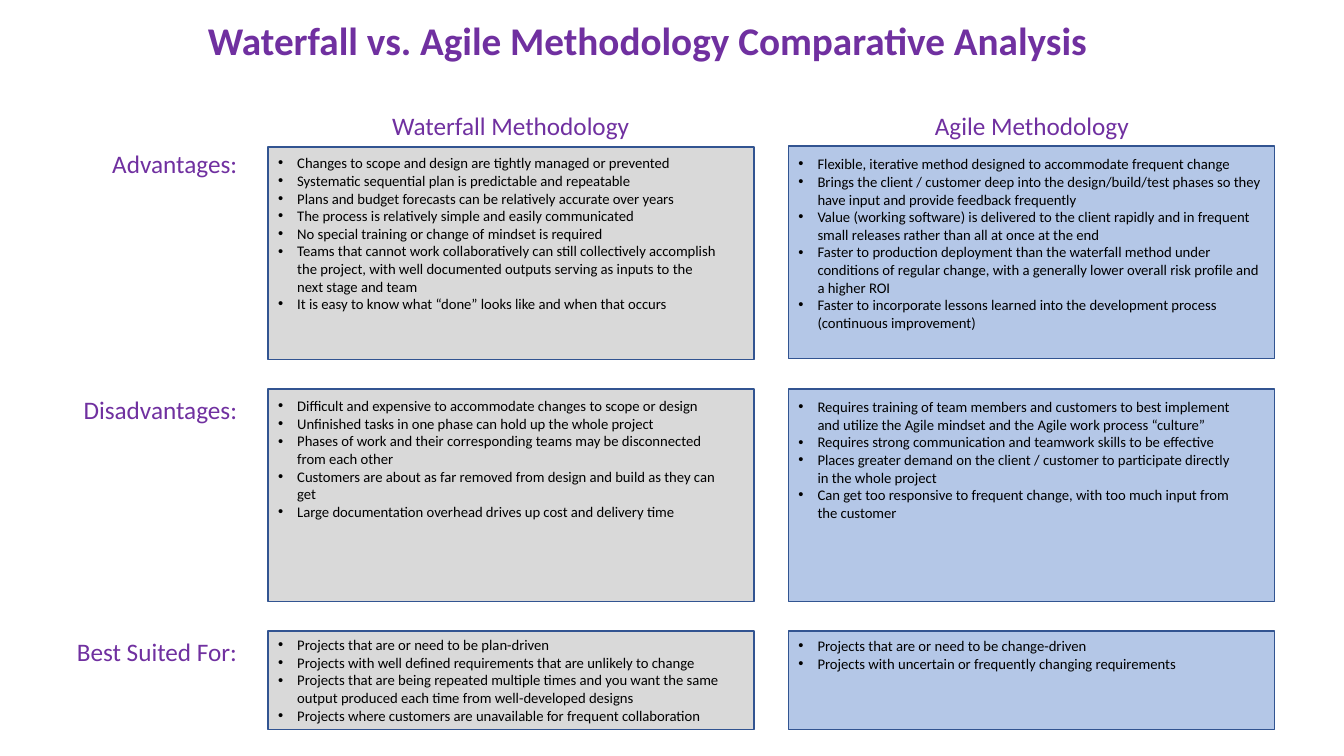
from lxml.etree import SubElement
from pptx import Presentation
from pptx.dml.color import RGBColor
from pptx.enum.shapes import MSO_SHAPE
from pptx.enum.text import MSO_ANCHOR, MSO_AUTO_SIZE, PP_ALIGN
from pptx.oxml.ns import qn
from pptx.util import Inches, Pt

PURPLE = RGBColor(0x70, 0x30, 0xA0)
BLACK = RGBColor(0x00, 0x00, 0x00)
GREY = RGBColor(0xD9, 0xD9, 0xD9)
BLUE = RGBColor(0xB4, 0xC7, 0xE7)
OUTLINE = RGBColor(0x32, 0x54, 0x91)

PANEL_W = 4.82
HEADING_W, HEADING_H = 3.41, 0.4

# Heading, heading left, panel left, panel fill
COLUMNS = [
    ("Waterfall Methodology", 3.36, 2.66, GREY),
    ("Agile Methodology", 8.53, 7.82, BLUE),
]

# Label, label top, panel height, then for each column:
# panel top, text top, text width, text height, bullets
ROWS = [
    ("Advantages:", 1.42, 2.11, [
        (1.46, 1.48, 4.6, 1.69, [
            "Changes to scope and design are tightly managed or prevented",
            "Systematic sequential plan is predictable and repeatable",
            "Plans and budget forecasts can be relatively accurate over years",
            "The process is relatively simple and easily communicated",
            "No special training or change of mindset is required",
            "Teams that cannot work collaboratively can still collectively accomplish "
            "the project, with well documented outputs serving as inputs to the "
            "next stage and team",
            "It is easy to know what “done” looks like and when that occurs",
        ]),
        (1.45, 1.49, 4.8, 2.04, [
            "Flexible, iterative method designed to accommodate frequent change",
            "Brings the client / customer deep into the design/build/test phases so they "
            "have input and provide feedback frequently",
            "Value (working software) is delivered to the client rapidly and in frequent "
            "small releases rather than all at once at the end",
            "Faster to production deployment than the waterfall method under "
            "conditions of regular change, with a generally lower overall risk profile and "
            "a higher ROI",
            "Faster to incorporate lessons learned into the development process "
            "(continuous improvement)",
        ]),
    ]),
    ("Disadvantages:", 3.86, 2.11, [
        (3.86, 3.89, 4.6, 1.34, [
            "Difficult and expensive to accommodate changes to scope or design",
            "Unfinished tasks in one phase can hold up the whole project",
            "Phases of work and their corresponding teams may be disconnected "
            "from each other",
            "Customers are about as far removed from design and build as they can get",
            "Large documentation overhead drives up cost and delivery time",
        ]),
        (3.86, 3.9, 4.6, 1.34, [
            "Requires training of team members and customers to best implement "
            "and utilize the Agile mindset and the Agile work process “culture”",
            "Requires strong communication and teamwork skills to be effective",
            "Places greater demand on the client / customer to participate directly "
            "in the whole project",
            "Can get too responsive to frequent change, with too much input from "
            "the customer",
        ]),
    ]),
    ("Best Suited For:", 6.26, 0.98, [
        (6.26, 6.26, 4.6, 0.98, [
            "Projects that are or need to be plan-driven",
            "Projects with well defined requirements that are unlikely to change",
            "Projects that are being repeated multiple times and you want the same "
            "output produced each time from well-developed designs",
            "Projects where customers are unavailable for frequent collaboration",
        ]),
        (6.26, 6.27, 4.6, 0.63, [
            "Projects that are or need to be change-driven",
            "Projects with uncertain or frequently changing requirements",
        ]),
    ]),
]


def write(sp, lines, size, color, align, bold=False):
    """Fill a shape with one formatted paragraph per line."""
    tf = sp.text_frame
    tf.word_wrap = True
    tf.text = "\n".join(lines)
    for p in tf.paragraphs:
        p.alignment = align
        font = p.runs[0].font
        font.name, font.size, font.bold = "Calibri", Pt(size), bold
        font.color.rgb = color


def add_text(left, top, width, height, lines, size, color, align):
    sp = slide.shapes.add_textbox(Inches(left), Inches(top), Inches(width), Inches(height))
    write(sp, lines, size, color, align)
    return sp


prs = Presentation()
prs.slide_width, prs.slide_height = Inches(13.33), Inches(7.5)
slide = prs.slides.add_slide(prs.slide_layouts[5])

title = slide.shapes.title
title.left, title.top = Inches(0.92), Inches(0.11)
title.width, title.height = Inches(11), Inches(0.57)
write(title, ["Waterfall vs. Agile Methodology Comparative Analysis"], 28, PURPLE,
      PP_ALIGN.CENTER, bold=True)
title.text_frame.auto_size = MSO_AUTO_SIZE.NONE
title.text_frame.vertical_anchor = MSO_ANCHOR.TOP

for heading, heading_left, _, _ in COLUMNS:
    add_text(heading_left, 1.05, HEADING_W, HEADING_H, [heading], 18, PURPLE, PP_ALIGN.CENTER)

for label, label_top, panel_h, cells in ROWS:
    add_text(0.37, label_top, 2.08, HEADING_H, [label], 18, PURPLE, PP_ALIGN.RIGHT)
    for (_, _, left, fill), (panel_top, text_top, text_w, text_h, bullets) in zip(COLUMNS, cells):
        panel = slide.shapes.add_shape(MSO_SHAPE.RECTANGLE, Inches(left), Inches(panel_top),
                                       Inches(PANEL_W), Inches(panel_h))
        panel.shadow.inherit = False
        panel.fill.solid()
        panel.fill.fore_color.rgb = fill
        panel.line.color.rgb = OUTLINE
        panel.line.width = Pt(1)

        sp = add_text(left, text_top, text_w, text_h, bullets, 10.5, BLACK, PP_ALIGN.LEFT)
        for p in sp.text_frame.paragraphs:
            pPr = p._p.get_or_add_pPr()
            pPr.set("marL", str(Inches(0.19)))
            pPr.set("indent", str(Inches(-0.19)))
            SubElement(pPr, qn("a:buFont"), typeface="Arial")
            SubElement(pPr, qn("a:buChar"), char="•")

prs.save("out.pptx")
